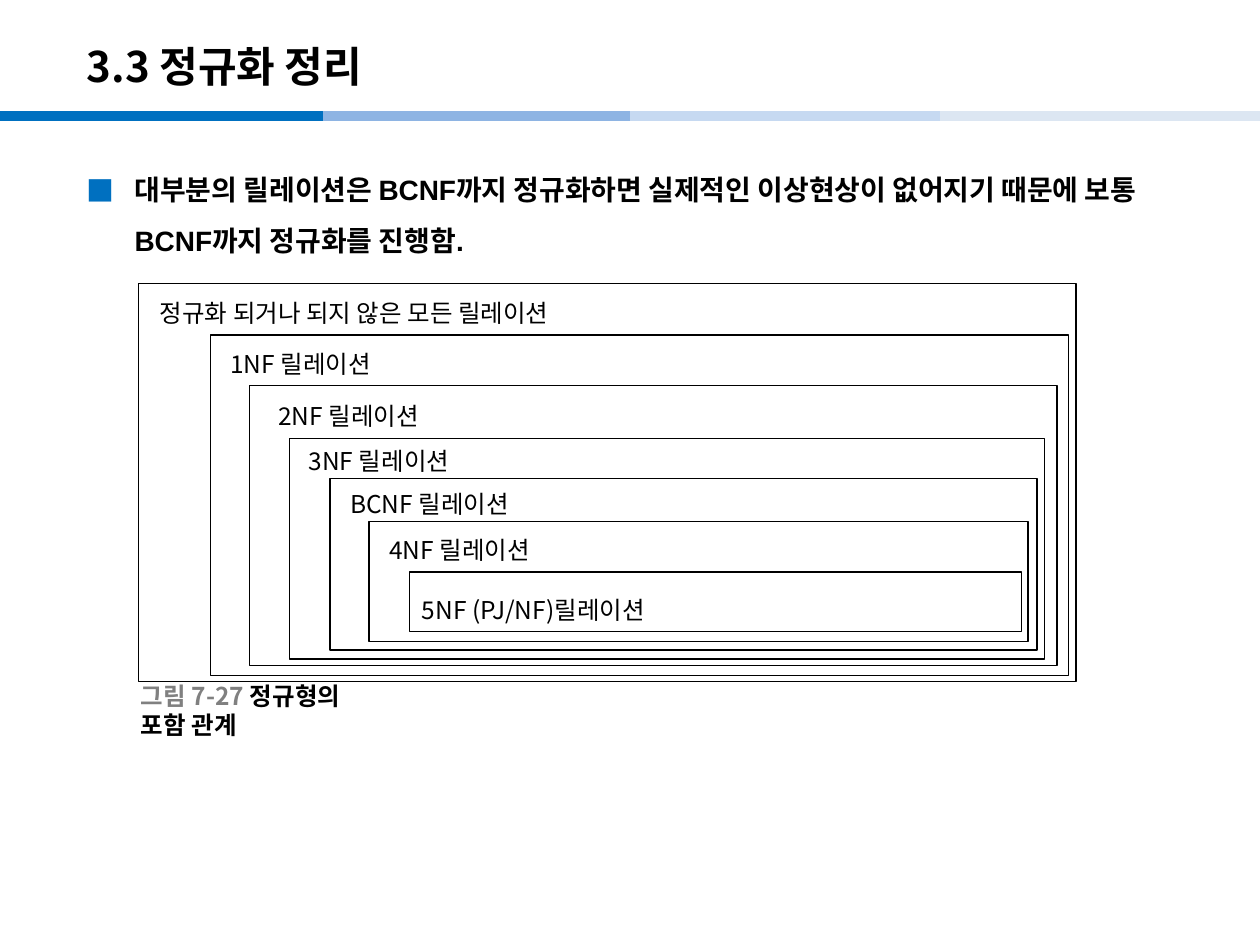
from lxml import etree
from pptx import Presentation, util as u
from pptx.dml.color import RGBColor
from pptx.enum import shapes, text
from pptx.oxml.ns import qn

COLS, ROWS = 100, 75
WIDE, HIGH = u.Inches(10), u.Inches(7.5)
NOTO = "Noto Sans CJK KR"
BLACK, BLUE, GRAY = "000000", "0070C0", "808080"
BAR_ROW, BAR_SPAN = 9.2, 25.6
BARS = [(0, BLUE), (25.6, "8EB4E3"), (50, "C6D9F1"), (74.6, "DCE6F2")]
NESTS = [
    ((11, 22.5, 74.4, 31.6), (11.7, 23.2, 44.8, 3.4), "정규화 되거나 되지 않은 모든 릴레이션"),
    ((16.7, 26.6, 68.1, 27), (17.3, 27.2, 14.5, 5.7), "1NF 릴레이션"),
    ((19.8, 30.6, 64.1, 22.2), (21.1, 31.3, 14.5, 5.7), "2NF 릴레이션"),
    ((23, 34.8, 59.9, 17.5), (23.5, 34.9, 14.5, 5.7), "3NF 릴레이션"),
    ((26.2, 38, 56.1, 13.6), (26.8, 38.3, 19.4, 3.4), "BCNF 릴레이션"),
    ((29.3, 41.4, 52.3, 9.5), (29.9, 42, 14.5, 5.7), "4NF 릴레이션"),
    ((32.5, 45.4, 48.6, 4.7), (32.5, 46.7, 20.2, 5.7), "5NF (PJ/NF)릴레이션"),
]


def color(code):
    return RGBColor.from_string(code)


def col(n):
    return round(WIDE * n / COLS)


def row(n):
    return round(HIGH * n / ROWS)


def place(area):
    x, y, w, h = area
    return col(x), row(y), col(w), row(h)


def add_bar(slide, start, code):
    bar = slide.shapes.add_connector(
        shapes.MSO_CONNECTOR.STRAIGHT,
        col(start), row(BAR_ROW), col(start + BAR_SPAN), row(BAR_ROW))
    bar.line.color.rgb = color(code)
    bar.line.width = u.Pt(6)
    etree.SubElement(bar._element.spPr, qn("a:effectLst"))


def add_frame(slide, area):
    frame = slide.shapes.add_shape(shapes.MSO_SHAPE.RECTANGLE, *place(area))
    frame.shadow.inherit = False
    frame.fill.background()
    frame.line.color.rgb = color(BLACK)
    frame.line.width = u.Pt(0.75)


def set_font(para, size, bold, face):
    font = para.font
    font.size, font.bold, font.name = u.Pt(size), bold, face
    font.color.rgb = color(BLACK)
    east = etree.SubElement(font._element, qn("a:ea"))
    east.set("typeface", NOTO)


def add_text(slide, area, parts, size=14, bold=False, face=NOTO,
             middle=False, wrap=True, mark=None):
    frame = slide.shapes.add_textbox(*place(area)).text_frame
    frame.word_wrap = wrap
    if middle:
        frame.vertical_anchor = text.MSO_ANCHOR.MIDDLE
    para = frame.paragraphs[0]
    if mark:
        add_mark(para, mark)
    set_font(para, size, bold, face)
    for words, code in parts:
        run = para.add_run()
        run.text = words
        if code != BLACK:
            run.font.color.rgb = color(code)


def add_mark(para, mark):
    para.line_spacing = 1.5
    props = para._p.get_or_add_pPr()
    props.set("marL", str(col(3.8)))
    props.set("indent", str(-col(3.8)))
    tint = etree.SubElement(props, qn("a:buClr"))
    etree.SubElement(tint, qn("a:srgbClr")).set("val", BLUE)
    etree.SubElement(props, qn("a:buFont")).set("typeface", NOTO)
    etree.SubElement(props, qn("a:buChar")).set("char", mark)


def main():
    deck = Presentation()
    deck.slide_width, deck.slide_height = WIDE, HIGH
    slide = deck.slides.add_slide(deck.slide_layouts[6])
    for start, code in BARS:
        add_bar(slide, start, code)
    add_text(slide, (5.9, 2.2, 82.7, 6), [("3.3 정규화 정리", BLACK)],
             size=24, bold=True, middle=True)
    add_text(slide, (5.9, 11.9, 88.2, 59.8),
             [("대부분의 릴레이션은 BCNF까지 정규화하면 실제적인 이상현상이 "
               "없어지기 때문에 보통 BCNF까지 정규화를 진행함.", BLACK)],
             size=16, bold=True, face="Arial", mark="■")
    for area, spot, label in NESTS:
        add_frame(slide, area)
        add_text(slide, spot, [(label, BLACK)])
    add_text(slide, (10.2, 54.8, 20.9, 3.1),
             [("그림 7-27 ", GRAY), ("정규형의 포함 관계", BLACK)],
             bold=True, middle=True, wrap=False)
    deck.save("out.pptx")


if __name__ == "__main__":
    main()
